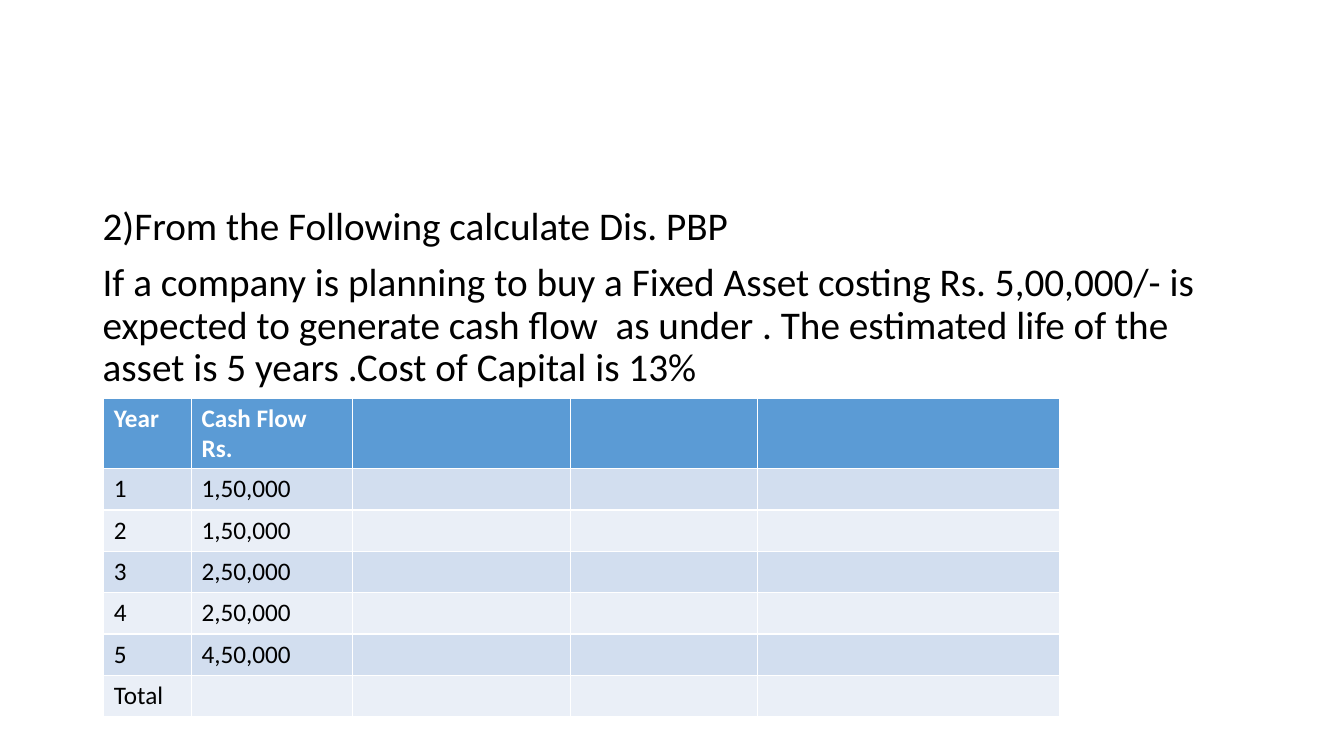
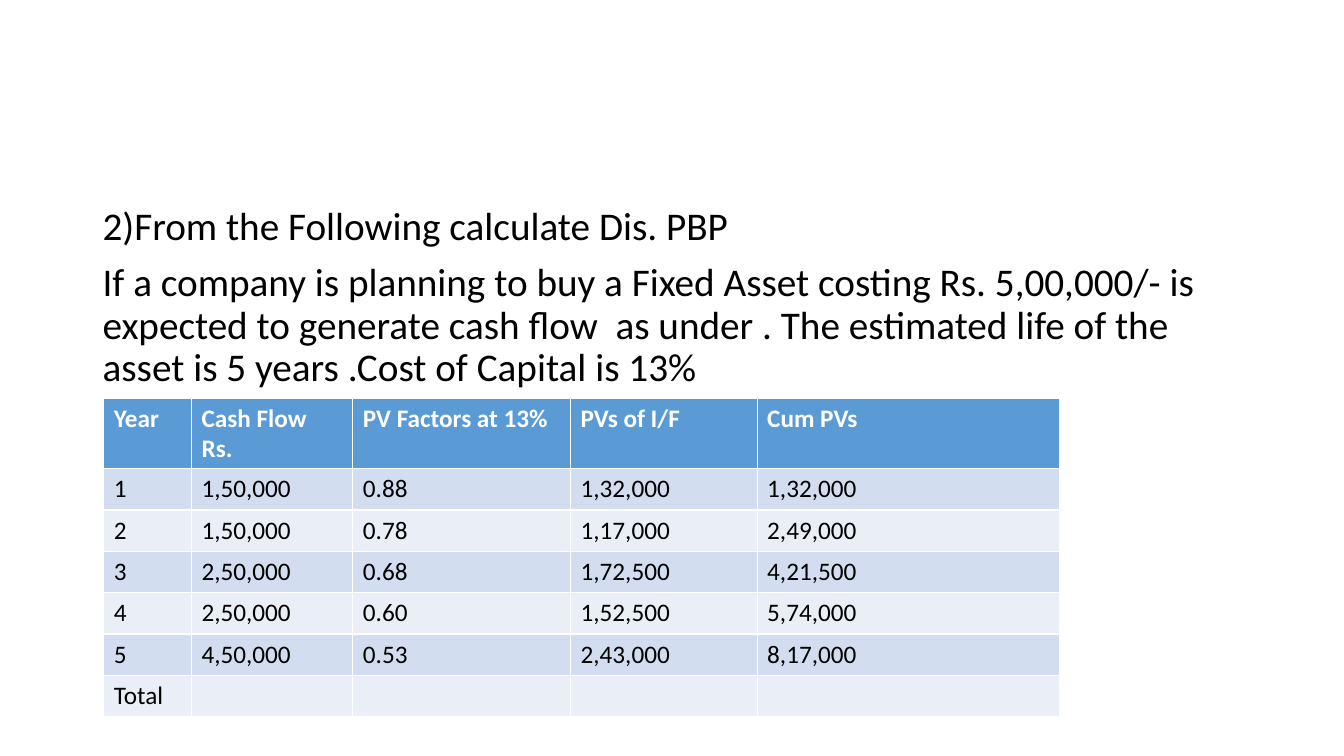
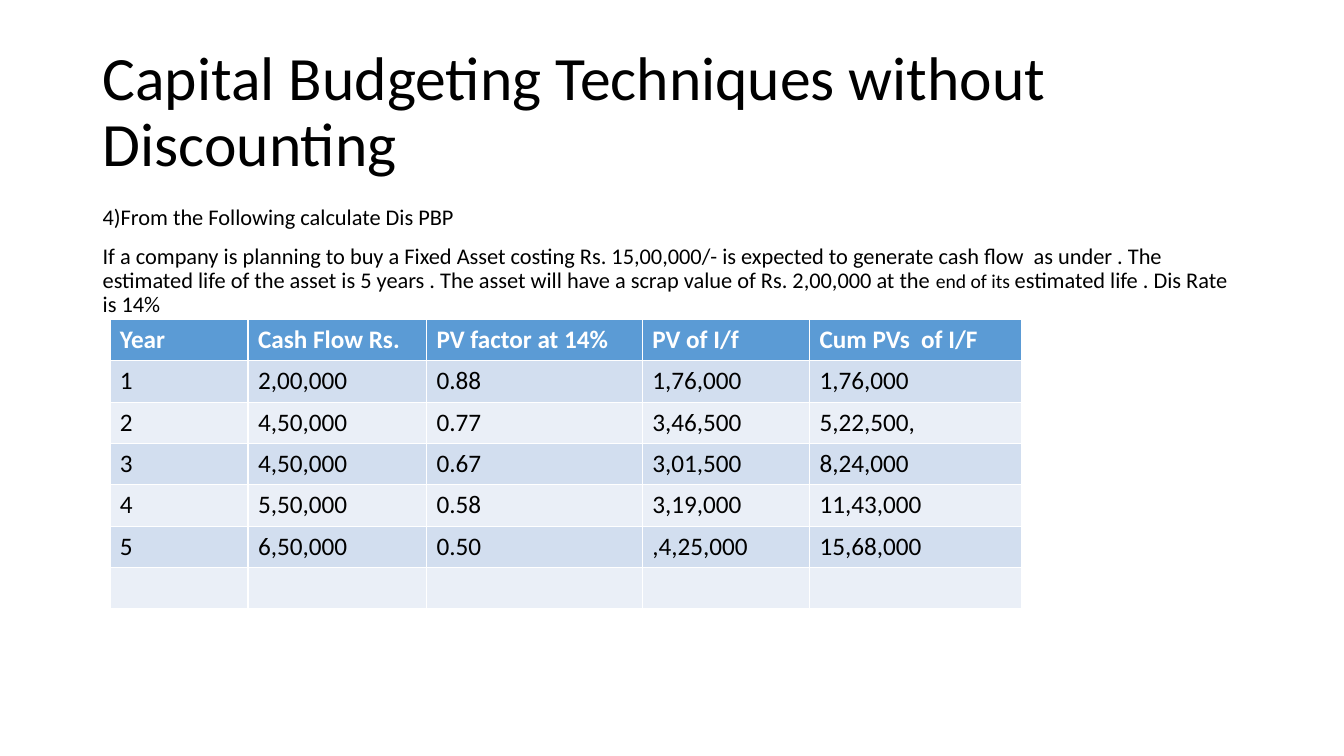
from dataclasses import dataclass

from pptx import Presentation
from pptx.dml.color import RGBColor
from pptx.enum.text import MSO_ANCHOR
from pptx.slide import Slide
from pptx.text.text import Font
from pptx.util import Inches, Pt

FONT = "Calibri"
BLACK, WHITE = "000000", "FFFFFF"
HEADER_FILL = "5B9BD5"
BAND_FILLS = ("EAEFF7", "D2DEEF")
TEXT_LEFT, TEXT_WIDTH = 0.92, 11.5
ROW_HEIGHT = 0.41
TABLE_SIZE = 18


@dataclass(frozen=True)
class Piece:
    """A stretch of text in one size."""
    text: str
    size: int


@dataclass(frozen=True)
class TextBlock:
    """Paragraphs of pieces in a box of the shared left edge and width."""
    top: float
    height: float
    paragraphs: list[list[Piece]]
    space_before: int = 0
    anchor: MSO_ANCHOR = MSO_ANCHOR.TOP


@dataclass(frozen=True)
class CashFlowTable:
    """A table whose first row is the header; short rows end in empty cells."""
    left: float
    top: float
    widths: list[float]
    rows: list[list[str]]


def rgb(color: str) -> RGBColor:
    """Turn a hex string into a colour."""
    return RGBColor.from_string(color)


def style_font(font: Font, size: int, color: str, bold: bool = False) -> None:
    """Apply the shared typeface with the given size, colour and weight."""
    font.name = FONT
    font.size = Pt(size)
    font.bold = bold
    font.color.rgb = rgb(color)


def add_text(slide: Slide, block: TextBlock) -> None:
    """Draw a text block."""
    box = slide.shapes.add_textbox(
        Inches(TEXT_LEFT), Inches(block.top), Inches(TEXT_WIDTH), Inches(block.height))
    frame = box.text_frame
    frame.word_wrap = True
    frame.vertical_anchor = block.anchor
    for index, pieces in enumerate(block.paragraphs):
        paragraph = frame.add_paragraph() if index else frame.paragraphs[0]
        paragraph.line_spacing = 0.9
        paragraph.space_before = Pt(block.space_before)
        for piece in pieces:
            run = paragraph.add_run()
            run.text = piece.text
            style_font(run.font, piece.size, BLACK)


def add_cash_flows(slide: Slide, content: CashFlowTable) -> None:
    """Draw a banded table; its white rules come from the default table style."""
    row_count, column_count = len(content.rows), len(content.widths)
    table = slide.shapes.add_table(
        row_count, column_count, Inches(content.left), Inches(content.top),
        Inches(sum(content.widths)), Inches(ROW_HEIGHT * row_count)).table
    for column, width in zip(table.columns, content.widths):
        column.width = Inches(width)
    for row_index, values in enumerate(content.rows):
        is_header = row_index == 0
        table.rows[row_index].height = Inches(ROW_HEIGHT)
        for cell in table.rows[row_index].cells:
            cell.fill.solid()
            cell.fill.fore_color.rgb = rgb(
                HEADER_FILL if is_header else BAND_FILLS[row_index % 2])
        for column_index, value in enumerate(values):
            paragraph = table.cell(row_index, column_index).text_frame.paragraphs[0]
            paragraph.text = value
            for run in paragraph.runs:
                style_font(run.font, TABLE_SIZE, WHITE if is_header else BLACK, is_header)


def question(paragraphs: list[list[Piece]]) -> TextBlock:
    """Place the wording of a question in the body area."""
    return TextBlock(2, 4.76, paragraphs, space_before=10)


def main() -> None:
    """Build and save the three slides."""
    title = TextBlock(
        0.4, 1.45, [[Piece("Capital Budgeting Techniques without Discounting", 44)]],
        anchor=MSO_ANCHOR.MIDDLE)
    second_question = question([
        [Piece("2)From the Following calculate Dis. PBP", 28)],
        [Piece("If a company is planning to buy a Fixed Asset costing Rs. 5,00,000/- is "
               "expected to generate cash flow  as under . The estimated life of the "
               "asset is 5 years .Cost of Capital is 13%", 28)],
    ])
    fourth_question = question([
        [Piece("4)From the Following calculate Dis PBP", 16)],
        [Piece("If a company is planning to buy a Fixed Asset costing Rs. 15,00,000/- is "
               "expected to generate cash flow  as under . The estimated life of the "
               "asset is 5 years . The asset will have a scrap value of Rs. 2,00,000 "
               "at the ", 16),
         Piece("end of its ", 14),
         Piece("estimated life . Dis Rate is 14%", 16)],
    ])
    second_rows = [
        ["Year", "Cash Flow Rs.", "PV Factors at 13%", "PVs of I/F", "Cum PVs"],
        ["1", "1,50,000", "0.88", "1,32,000", "1,32,000"],
        ["2", "1,50,000", "0.78", "1,17,000", "2,49,000"],
        ["3", "2,50,000", "0.68", "1,72,500", "4,21,500"],
        ["4", "2,50,000", "0.60", "1,52,500", "5,74,000"],
        ["5", "4,50,000", "0.53", "2,43,000", "8,17,000"],
        ["Total"],
    ]
    fourth_rows = [
        ["Year", "Cash Flow Rs.", "PV factor at 14%", "PV of I/f", "Cum PVs  of I/F"],
        ["1", "2,00,000", "0.88", "1,76,000", "1,76,000"],
        ["2", "4,50,000", "0.77", "3,46,500", "5,22,500,"],
        ["3", "4,50,000", "0.67", "3,01,500", "8,24,000"],
        ["4", "5,50,000", "0.58", "3,19,000", "11,43,000"],
        ["5", "6,50,000", "0.50", ",4,25,000", "15,68,000"],
        [],
    ]
    second_widths = [0.87, 1.6, 2.16, 1.85, 3]
    fourth_widths = [1.37, 1.77, 2.14, 1.66, 2.1]
    given_rows = [row[:2] for row in second_rows]
    pages = [
        ([second_question], CashFlowTable(1.03, 3.95, second_widths, given_rows)),
        ([second_question], CashFlowTable(1.03, 3.95, second_widths, second_rows)),
        ([title, fourth_question], CashFlowTable(1.09, 3.17, fourth_widths, fourth_rows)),
    ]

    presentation = Presentation()
    presentation.slide_width = Inches(13.33)
    presentation.slide_height = Inches(7.5)
    for blocks, cash_flows in pages:
        slide = presentation.slides.add_slide(presentation.slide_layouts[6])
        for block in blocks:
            add_text(slide, block)
        add_cash_flows(slide, cash_flows)
    presentation.save("out.pptx")


main()
